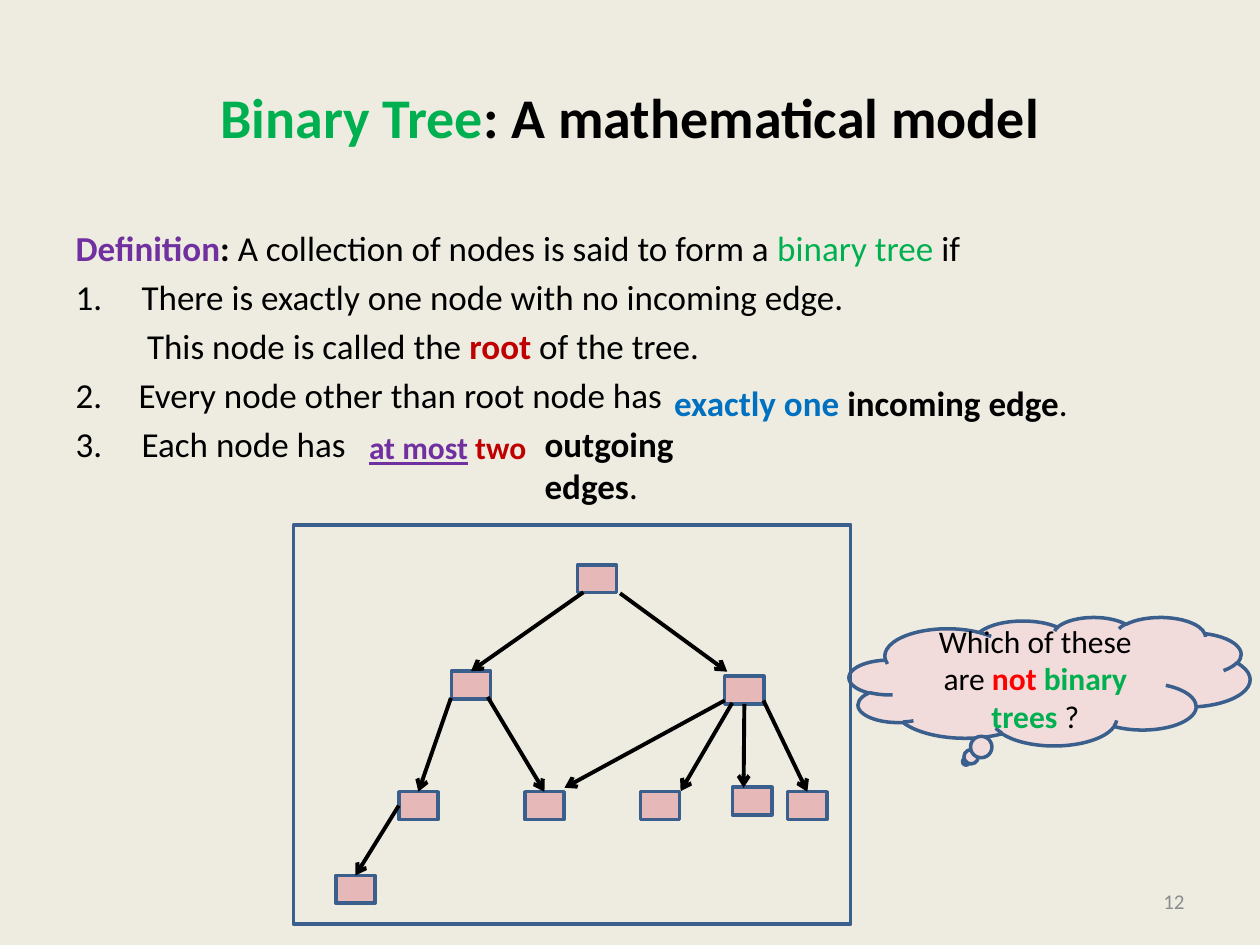
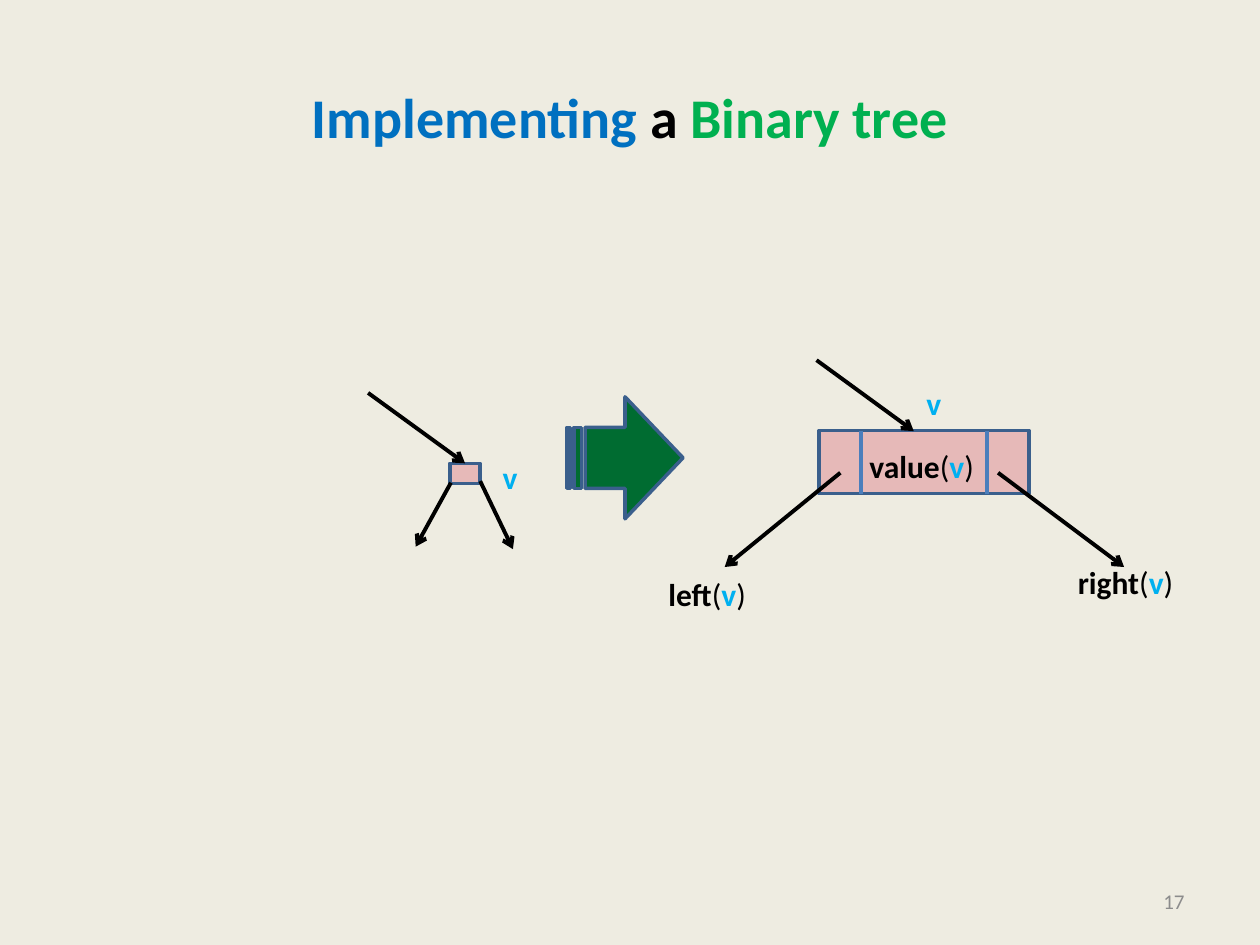
from pptx import Presentation
from pptx import util as u
from pptx.dml.color import RGBColor
from pptx.enum import shapes, text
from pptx.oxml import ns
from lxml import etree

Cm, Pt = u.Cm, u.Pt
FONT = "Calibri"
CREAM = RGBColor(0xEE, 0xEC, 0xE1)
BLACK = RGBColor(0, 0, 0)
GREY = RGBColor(0x8C, 0x8C, 0x8C)
GREEN = RGBColor(0x00, 0xB0, 0x50)
DARK_GREEN = RGBColor(0x00, 0x6C, 0x31)
BLUE = RGBColor(0x00, 0x70, 0xC0)
SKY = RGBColor(0x00, 0xB0, 0xF0)
OUTLINE = RGBColor(0x3A, 0x5F, 0x8C)
DIVIDER = RGBColor(0x4B, 0x7E, 0xBC)
PURPLE = RGBColor(0x70, 0x30, 0xA0)
DARK_RED = RGBColor(0xC0, 0, 0)
RED = RGBColor(0xFF, 0, 0)
PINK = RGBColor(0xE6, 0xB9, 0xB8)
PALE_PINK = RGBColor(0xF2, 0xDC, 0xDB)


def write(para, size, spans):
    """Fill a paragraph with (words, colour, bold) spans."""
    para.font.name = FONT
    para.font.size = Pt(size)
    for words, colour, bold in spans:
        span = para.add_run()
        span.text = words
        span.font.color.rgb = colour
        span.font.bold = bold


def draw_line(page, start, end, colour=BLACK, arrow=True):
    """Draw a line; each end is a point in cm or a (box, side) pair."""
    ends = [(0, 0) if hasattr(place[0], "shape_id") else place for place in (start, end)]
    line = page.shapes.add_connector(
        shapes.MSO_CONNECTOR.STRAIGHT, *[Cm(value) for point in ends for value in point])
    if hasattr(start[0], "shape_id"):
        line.begin_connect(*start)
    if hasattr(end[0], "shape_id"):
        line.end_connect(*end)
    line.line.color.rgb = colour
    line.line.width = Pt(2.25)
    properties = line._element.spPr
    if arrow:
        etree.SubElement(properties.find(ns.qn("a:ln")), ns.qn("a:tailEnd"), type="arrow")
    etree.SubElement(properties, ns.qn("a:effectLst"))


# Deck and shared background
deck = Presentation()
deck.slide_width, deck.slide_height = Cm(25.4), Cm(19.05)
background = deck.slide_master.background.fill
background.solid()
background.fore_color.rgb = CREAM
model = deck.slides.add_slide(deck.slide_layouts[1])
record = deck.slides.add_slide(deck.slide_layouts[5])

# Titles and page numbers
headings = [
    (model, "12", [("Binary Tree", GREEN, True), (": A mathematical model", BLACK, True)]),
    (record, "17", [("Implementing", BLUE, True), (" a ", BLACK, True),
                    ("Binary tree", GREEN, True)]),
]
for page, number, spans in headings:
    write(page.shapes.title.text_frame.paragraphs[0], 32, spans)
    box = page.shapes.add_textbox(Cm(18.21), Cm(17.65), Cm(5.92), Cm(1.02))
    box.text_frame.word_wrap = True
    box.text_frame.vertical_anchor = text.MSO_ANCHOR.MIDDLE
    para = box.text_frame.paragraphs[0]
    para.alignment = text.PP_ALIGN.RIGHT
    write(para, 12, [(number, GREY, False)])

# Definition: list number, left margin in cm, spans
definition = [
    (None, 0, [("Definition", PURPLE, True), (": ", BLACK, True),
               ("A collection of nodes is said to form a ", BLACK, False),
               ("binary tree ", GREEN, False), ("if", BLACK, False)]),
    (1, 1.33, [("There is exactly one node with no incoming edge.", BLACK, False)]),
    (None, 1.44, [("This node is called the ", BLACK, False), ("root", DARK_RED, True),
                  (" of the tree.", BLACK, False)]),
    (2, 1.27, [("Every node other than root node has", BLACK, False)]),
    (3, 1.33, [("Each node has", BLACK, False)]),
]
frame = model.placeholders[1].text_frame
for index, (number, margin, spans) in enumerate(definition):
    para = frame.add_paragraph() if index else frame.paragraphs[0]
    write(para, 20, spans)
    properties = para._p.get_or_add_pPr()
    properties.set("marL", str(Cm(margin)))
    properties.set("indent", str(-Cm(margin) if number else 0))
    if number:
        bullet = etree.Element(ns.qn("a:buAutoNum"), type="arabicPeriod", startAt=str(number))
        font = etree.Element(ns.qn("a:buFont"), typeface="+mj-lt")
        properties.insert(0, font)
        properties.insert(1, bullet)
    else:
        properties.insert(0, etree.Element(ns.qn("a:buNone")))

# Outlined shapes: tree nodes, frame, cloud, and the node with its record
RECT = shapes.MSO_SHAPE.RECTANGLE
NODE = (0.79, 0.56)
outlined = [
    ("root", model, RECT, (11.64, 11.39), NODE, PINK),
    ("left", model, RECT, (9.1, 13.53), NODE, PINK),
    ("right", model, RECT, (14.61, 13.63), NODE, PINK),
    ("left child", model, RECT, (8.04, 15.96), NODE, PINK),
    ("shared child", model, RECT, (10.58, 15.96), NODE, PINK),
    ("second child", model, RECT, (12.91, 15.96), NODE, PINK),
    ("third child", model, RECT, (14.77, 15.87), NODE, PINK),
    ("fourth child", model, RECT, (15.88, 15.96), NODE, PINK),
    ("leaf", model, RECT, (6.77, 17.65), NODE, PINK),
    ("cloud", model, shapes.MSO_SHAPE.CLOUD_CALLOUT, (17.12, 12.44), (8.08, 2.59), PALE_PINK),
    ("frame", model, RECT, (5.92, 10.58), (11.23, 8.05), None),
    ("node", record, RECT, (9.07, 9.34), (0.61, 0.41), PINK),
    ("step", record, shapes.MSO_SHAPE.STRIPED_RIGHT_ARROW, (11.43, 8), (2.34, 2.46), DARK_GREEN),
    ("record", record, RECT, (16.51, 8.68), (4.24, 1.27), PINK),
]
boxes = {}
for key, page, kind, corner, size, fill in outlined:
    box = page.shapes.add_shape(kind, *[Cm(value) for value in corner + size])
    box.shadow.inherit = False
    if fill is None:
        box.fill.background()
    else:
        box.fill.solid()
        box.fill.fore_color.rgb = fill
    box.line.color.rgb = OUTLINE
    box.line.width = Pt(2)
    boxes[key] = box

# Question in the cloud
para = boxes["cloud"].text_frame.paragraphs[0]
para.alignment = text.PP_ALIGN.CENTER
write(para, 18, [("Which of these are ", BLACK, False), ("not ", RED, True),
                 ("binary trees ", GREEN, True), ("?", BLACK, False)])

# Edges and pointers
TOP, LEFT, BOTTOM = 0, 1, 2
arrows = [
    (model, (11.76, 11.94), (boxes["left"], TOP)),
    (model, (12.5, 11.96), (14.66, 13.54)),
    (model, (9.09, 14.07), (boxes["left child"], TOP)),
    (model, (9.83, 14.05), (boxes["shared child"], TOP)),
    (model, (14.61, 14.12), (11.38, 15.88)),
    (model, (14.76, 14.17), (13.72, 15.95)),
    (model, (boxes["right"], BOTTOM), (14.99, 15.88)),
    (model, (15.39, 14.12), (boxes["fourth child"], TOP)),
    (model, (boxes["left child"], LEFT), (boxes["leaf"], TOP)),
    (record, (7.42, 7.92), (boxes["node"], TOP)),
    (record, (9.09, 9.73), (8.38, 11.02)),
    (record, (9.68, 9.7), (10.34, 11.07)),
    (record, (16.46, 7.26), (18.42, 8.69)),
    (record, (16.94, 9.53), (14.61, 11.43)),
    (record, (20.12, 9.53), (22.66, 11.43)),
]
for page, start, end in arrows:
    draw_line(page, start, end)
for x in (17.35, 19.89):
    draw_line(record, (x, 8.68), (x, 9.95), DIVIDER, arrow=False)

# Key words of the definition and labels of the record
V = ("v", SKY, True)
labels = [
    (model, 13.34, 7.57, 8.51, 20, [("exactly one ", BLUE, True),
                                    ("incoming edge", BLACK, True), (".", BLACK, False)]),
    (model, 7.19, 8.51, 3.71, 18, [("at most", PURPLE, True), (" ", BLACK, False),
                                   ("two", DARK_RED, True)]),
    (model, 10.73, 8.4, 5.13, 20, [("outgoing edges", BLACK, True), (".", BLACK, False)]),
    (record, 9.87, 9.1, 0.83, 18, [V]),
    (record, 18.41, 7.61, 0.83, 18, [V]),
]
for name, left, top, width in [("left", 13.2, 11.46, 2.11), ("right", 21.46, 11.23, 2.46),
                               ("value", 17.26, 8.89, 2.64)]:
    labels.append((record, left, top, width, 18,
                   [(name, BLACK, True), ("(", BLACK, False), V, (")", BLACK, False)]))
for page, left, top, width, size, spans in labels:
    box = page.shapes.add_textbox(Cm(left), Cm(top), Cm(width), Cm(1.02))
    box.text_frame.word_wrap = False
    para = box.text_frame.paragraphs[0]
    if page is record:
        para.alignment = text.PP_ALIGN.CENTER
    write(para, size, spans)
    if spans[0][0] == "at most":
        para.runs[0].font.underline = True

deck.save("out.pptx")
